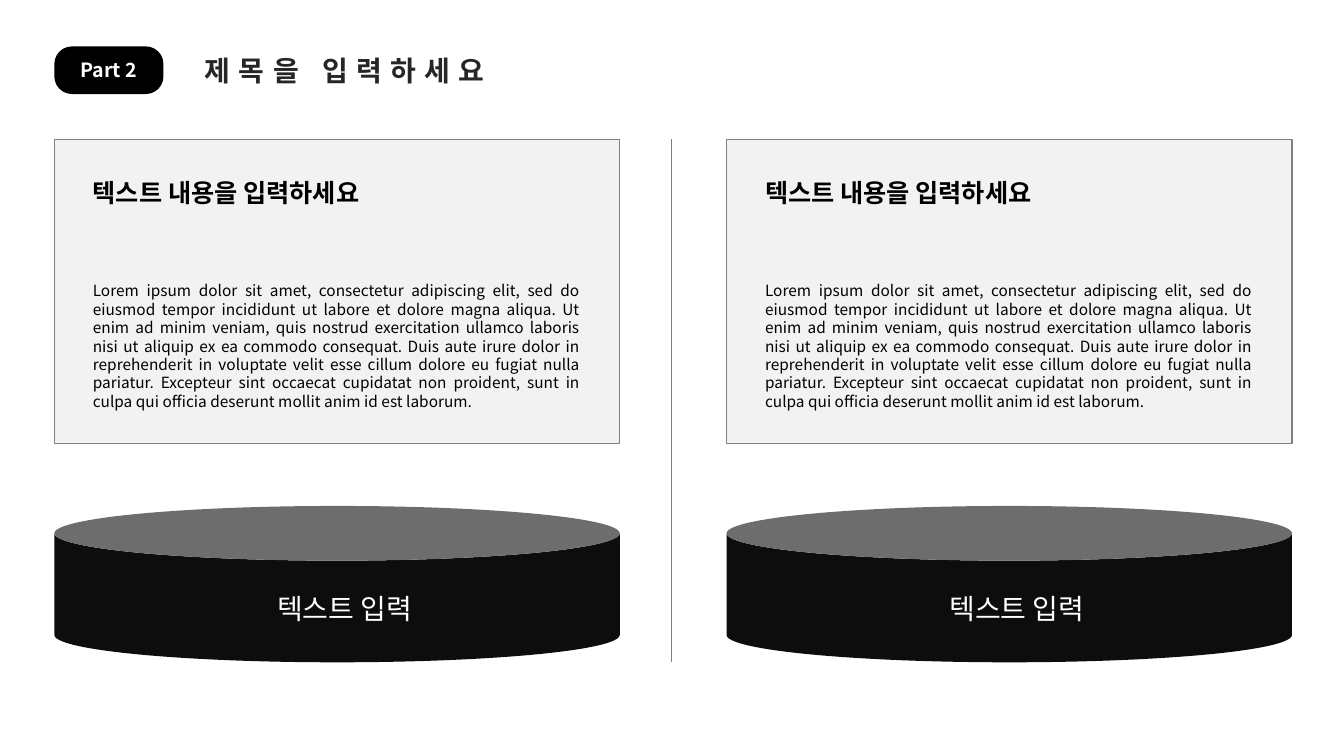
from lxml import etree
from pptx import Presentation
from pptx.dml.color import RGBColor
from pptx.enum import shapes as es, text as et
from pptx.oxml import ns
from pptx.util import Cm, Pt

FONT = "Noto Sans CJK KR"
LEFT, TOP, PANEL_W, PANEL_H = 1.37, 3.51, 14.25, 7.67
PANEL_STEP = 16.94
CAN_TOP, CAN_H = 12.75, 3.94
BODY = (
    "Lorem ipsum dolor sit amet, consectetur adipiscing elit, sed do eiusmod "
    "tempor incididunt ut labore et dolore magna aliqua. Ut enim ad minim veniam, "
    "quis nostrud exercitation ullamco laboris nisi ut aliquip ex ea commodo "
    "consequat. Duis aute irure dolor in reprehenderit in voluptate velit esse "
    "cillum dolore eu fugiat nulla pariatur. Excepteur sint occaecat cupidatat non "
    "proident, sunt in culpa qui officia deserunt mollit anim id est laborum."
)


def color(value):
    return RGBColor.from_string(value)


def add_shape(parent, kind, x, y, w, h, fill, line=None, adj=None):
    sp = parent.shapes.add_shape(kind, Cm(x), Cm(y), Cm(w), Cm(h))
    sp.shadow.inherit = False
    sp.fill.solid()
    sp.fill.fore_color.rgb = color(fill)
    if line:
        sp.line.color.rgb = color(line)
        sp.line.width = Pt(1)
    else:
        sp.line.fill.background()
    if adj is not None:
        sp.adjustments[0] = adj
    return sp


def add_text(parent, content, x, y, w, h, size, fill="000000", bold=False,
             align=et.PP_ALIGN.LEFT, wrap=False, spacing=None):
    tf = parent.shapes.add_textbox(Cm(x), Cm(y), Cm(w), Cm(h)).text_frame
    tf.word_wrap = wrap
    tf.auto_size = et.MSO_AUTO_SIZE.SHAPE_TO_FIT_TEXT
    p = tf.paragraphs[0]
    p.alignment = align
    r = p.add_run()
    r.text = content
    r.font.name = FONT
    r.font.size = Pt(size)
    r.font.bold = bold
    r.font.color.rgb = color(fill)
    # East Asian font and letter spacing
    rpr = r.font._element
    etree.SubElement(rpr, ns.qn("a:ea"), typeface=FONT)
    if spacing:
        rpr.set("spc", str(spacing * 100))


def add_divider(s, x, y1, y2):
    cx = s.shapes.add_connector(es.MSO_CONNECTOR.STRAIGHT, Cm(x), Cm(y1), Cm(x), Cm(y2))
    cx.line.color.rgb = color("808080")
    cx.line.width = Pt(0.5)
    etree.SubElement(cx._element.spPr, ns.qn("a:effectLst"))


def add_header(s):
    add_shape(s, es.MSO_SHAPE.ROUNDED_RECTANGLE, LEFT, 1.17, 2.75, 1.2, "000000", adj=0.37)
    add_text(s, "Part 2", 1.75, 1.34, 1.99, 0.86, 14, "FFFFFF", bold=True,
             align=et.PP_ALIGN.CENTER)
    add_text(s, "제목을 입력하세요", 4.91, 1.22, 8.28, 1.11, 20, "262626", bold=True, spacing=6)


def add_column(s, x):
    # Text panel
    add_shape(s, es.MSO_SHAPE.RECTANGLE, x, TOP, PANEL_W, PANEL_H, "F2F2F2", line="808080")
    # Labelled cylinder
    group = s.shapes.add_group_shape()
    add_shape(group, es.MSO_SHAPE.CAN, x, CAN_TOP, PANEL_W, CAN_H, "0D0D0D", adj=0.35)
    add_text(group, "텍스트 입력", x + 5.2, 14.78, 4.24, 1.11, 20, "FFFFFF",
             align=et.PP_ALIGN.CENTER)
    # Heading and body
    add_text(s, "텍스트 내용을 입력하세요", x + 0.72, 4.34, 7.87, 1.02, 18, bold=True)
    add_text(s, BODY, x + 0.72, 6.96, 12.78, 3.56, 11, align=et.PP_ALIGN.JUSTIFY, wrap=True)


def main():
    prs = Presentation()
    prs.slide_width, prs.slide_height = Cm(33.87), Cm(19.05)
    s = prs.slides.add_slide(prs.slide_layouts[6])
    add_header(s)
    add_divider(s, 16.93, TOP, CAN_TOP + CAN_H)
    for i in range(2):
        add_column(s, LEFT + i * PANEL_STEP)
    prs.save("out.pptx")


if __name__ == "__main__":
    main()
